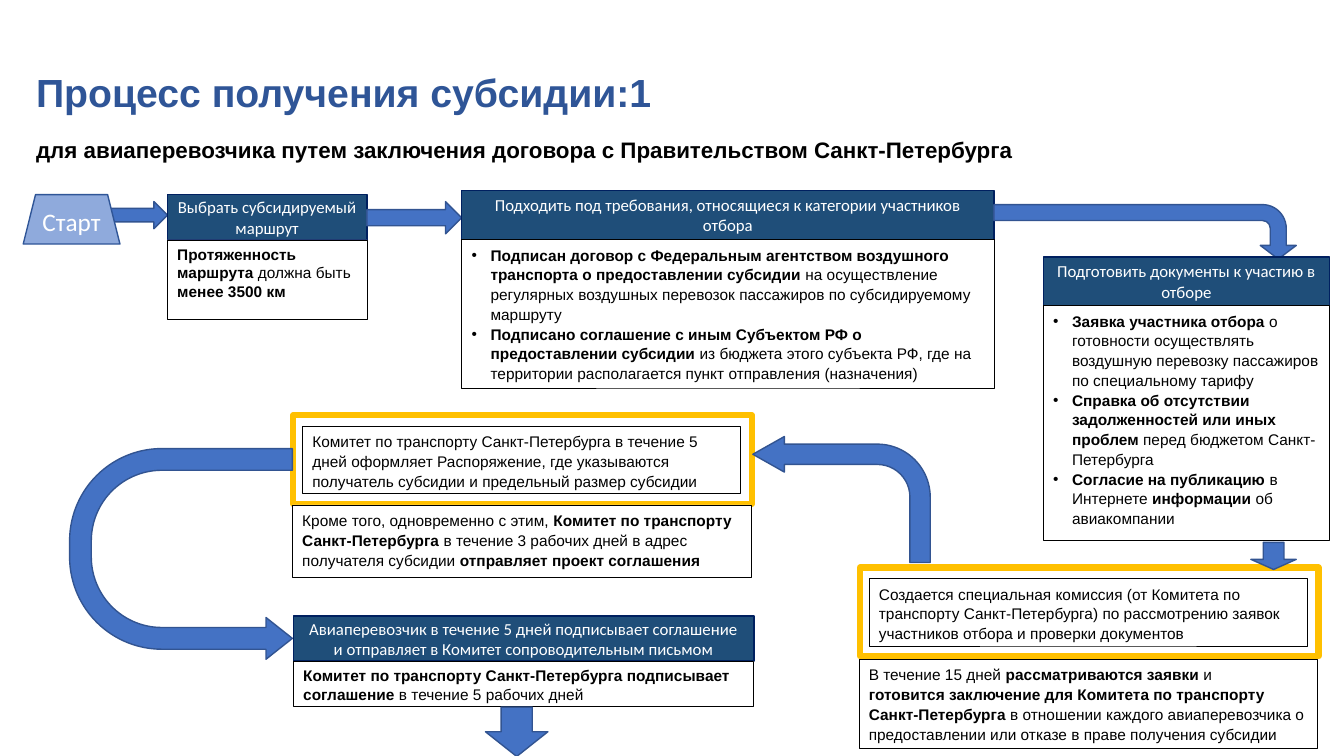
from lxml.etree import SubElement
from pptx import Presentation
from pptx.dml.color import RGBColor
from pptx.enum.shapes import MSO_SHAPE as Shape
from pptx.enum.text import MSO_ANCHOR as Anchor, PP_ALIGN as Align
from pptx.oxml.ns import qn
from pptx.util import Pt

ARROW = {"fill": "4472C4", "line": "325491"}
HEADER = {"fill": "1F4E79", "line": "002060"}
BODY = {"fill": "FFFFFF", "line": "000000", "weight": 0.5}
FRAME = {"line": "FFC000", "weight": 4.5}
LABEL = {"font": "Calibri", "size": 12, "color": "FFFFFF",
         "align": Align.CENTER, "anchor": Anchor.MIDDLE}
DETAIL = {"font": "Arial", "size": 11, "color": "000000"}
SPACED = {"line_spacing": 1.07}
NOTE = {"line_spacing": 1.07, "space_after": Pt(8)}


def color(hex_value):
    return RGBColor.from_string(hex_value)


def add_bullet(para):
    properties = para._p.get_or_add_pPr()
    properties.set("marL", str(Pt(13.5)))
    properties.set("indent", str(-Pt(13.5)))
    SubElement(properties, qn("a:buFont")).set("typeface", "Arial")
    SubElement(properties, qn("a:buChar")).set("char", "•")


def write(box, paragraphs, style, spacing=None, bullets=False):
    frame = box.text_frame
    frame.word_wrap = True
    frame.vertical_anchor = style.get("anchor", Anchor.TOP)
    for number, text in enumerate(paragraphs):
        para = frame.add_paragraph() if number else frame.paragraphs[0]
        para.alignment = style.get("align", Align.LEFT)
        for name, value in (spacing or {}).items():
            setattr(para, name, value)
        if bullets:
            add_bullet(para)
        for index, part in enumerate(text.split("*")):
            for row, words in enumerate(part.split("\n")):
                if row:
                    para.add_line_break()
                if not words:
                    continue
                span = para.add_run()
                span.text = words
                font_format = {"name": style["font"], "size": Pt(style["size"]),
                               "bold": index % 2 == 1}
                for name, value in font_format.items():
                    setattr(span.font, name, value)
                span.font.color.rgb = color(style["color"])


def add_figure(page, kind, box, look, rotation=0, flip=False, adjust=()):
    figure = page.shapes.add_shape(kind, *map(Pt, box))
    figure.shadow.inherit = False
    figure.rotation = rotation
    for index, value in enumerate(adjust):
        figure.adjustments[index] = value
    if flip:
        figure.element.spPr.find(qn("a:xfrm")).set("flipH", "1")
    if "fill" in look:
        figure.fill.solid()
        figure.fill.fore_color.rgb = color(look["fill"])
    else:
        figure.fill.background()
    figure.line.color.rgb = color(look["line"])
    figure.line.width = Pt(look.get("weight", 1))
    return figure


def add_text(page, box, text, style, spacing=None):
    write(page.shapes.add_textbox(*map(Pt, box)), [text], style, spacing)


def add_headings(page, left, top, width):
    add_text(page, (left, top, width, 104.4), "*Процесс получения субсидии:1*",
             {"font": "Arial", "size": 28, "color": "2F5597",
              "anchor": Anchor.MIDDLE}, {"line_spacing": 0.9})
    add_text(page, (left, top + 77.8, width + 18, 26.6),
             "*для авиаперевозчика путем заключения договора "
             "с Правительством Санкт-Петербурга*",
             {"font": "Arial", "size": 16, "color": "000000"})


def add_start(page, left, top):
    add_figure(page, Shape.RIGHT_ARROW, (left + 58.4, top + 5, 44.6, 19.4), ARROW)
    start = add_figure(page, Shape.TRAPEZOID, (left, top, 69.1, 35.3),
                       {"fill": "8FAADC", "line": "2F5597"})
    write(start, ["Старт"], {**LABEL, "size": 18})


def add_step(page, box, header_height, title, details, spacing=None, bullets=False):
    left, top, width, height = box
    header = add_figure(page, Shape.RECTANGLE, (left, top, width, header_height), HEADER)
    write(header, [title], LABEL)
    body = add_figure(page, Shape.RECTANGLE,
                      (left, top + header_height, width, height - header_height), BODY)
    write(body, details, DETAIL, spacing, bullets)


def add_committee(page, left, top, decision, follow_up, follow_top, follow_height):
    add_figure(page, Shape.RECTANGLE, (left, top, 327.6, 63.4), FRAME)
    inner = add_figure(page, Shape.RECTANGLE, (left + 6.5, top + 7.9, 313.2, 48.2), BODY)
    write(inner, [decision], DETAIL, NOTE)
    lower = add_figure(page, Shape.RECTANGLE,
                       (left - 0.7, top + follow_top, 327.6, follow_height), BODY)
    write(lower, [follow_up], DETAIL, NOTE)


def add_process(page):
    add_start(page, 16.6, 139)
    add_step(page, (119.5, 139, 142.6, 89.3), 32.4, "Выбрать субсидируемый маршрут",
             ["*Протяженность маршрута *должна быть *менее 3500 км*"])
    add_figure(page, Shape.RIGHT_ARROW, (262.1, 144, 67.7, 23), ARROW)
    add_step(page, (329.8, 136.1, 380.2, 141.1), 34.9,
             "Подходить под требования, относящиеся к категории участников отбора",
             ["*Подписан договор с Федеральным агентством воздушного транспорта "
              "о предоставлении субсидии *на осуществление регулярных воздушных "
              "перевозок пассажиров по субсидируемому маршруту",
              "*Подписано соглашение с иным Субъектом РФ о предоставлении субсидии *"
              "из бюджета этого субъекта РФ, где на территории располагается пункт "
              "отправления (назначения)"], SPACED, True)
    add_figure(page, Shape.BENT_ARROW, (798.5, 57.6, 38.9, 216), ARROW,
               rotation=90, adjust=(0.293, 0.331, 0.25, 0.438))
    add_step(page, (745.2, 183.6, 204.5, 202.4), 34.6,
             "Подготовить документы к участию в отборе",
             ["*Заявка участника отбора *о готовности осуществлять воздушную "
              "перевозку пассажиров по специальному тарифу",
              "*Справка об отсутствии задолженностей или иных проблем *"
              "перед бюджетом Санкт-Петербурга",
              "*Согласие на публикацию* в Интернете *информации* об авиакомпании"],
             SPACED, True)
    add_committee(page, 614.2, 405.4,
                  "Создается специальная комиссия (от Комитета по транспорту "
                  "Санкт-Петербурга) по рассмотрению заявок участников отбора "
                  "и проверки документов",
                  "В течение 15 дней *рассматриваются заявки *и\n*готовится заключение "
                  "для Комитета по транспорту Санкт-Петербурга *в отношении каждого "
                  "авиаперевозчика о предоставлении или отказе в праве получения субсидии",
                  65.5, 63.4)
    add_figure(page, Shape.RIGHT_ARROW, (900, 380.9, 19.4, 32.4), ARROW,
               rotation=90, adjust=(0.457, 0.372))
    add_committee(page, 209.5, 296.6,
                  "Комитет по транспорту Санкт-Петербурга в течение 5 дней оформляет "
                  "Распоряжение, где указываются получатель субсидии и предельный "
                  "размер субсидии",
                  "Кроме того, одновременно с этим, *Комитет по транспорту "
                  "Санкт-Петербурга *в течение 3 рабочих дней в адрес получателя "
                  "субсидии *отправляет проект соглашения*", 64.1, 51.8)
    add_figure(page, Shape.BENT_ARROW, (537.8, 311.8, 126.7, 90), ARROW,
               flip=True, adjust=(0.161, 0.141, 0.25, 0.42))
    add_figure(page, Shape.U_TURN_ARROW, (54, 316.1, 150.5, 159.1), ARROW,
               rotation=270, flip=True, adjust=(0.103, 0.099, 0.125, 0.438, 1))
    add_step(page, (209.5, 439.9, 329, 64.8), 32.4,
             "Авиаперевозчик в течение 5 дней подписывает соглашение и отправляет "
             "в Комитет сопроводительным письмом",
             ["*Комитет по транспорту Санкт-Петербурга подписывает соглашение *"
              "в течение 5 рабочих дней"])
    add_figure(page, Shape.RIGHT_ARROW, (351.4, 500.4, 35.3, 44.6), ARROW, rotation=90)


def main():
    deck = Presentation()
    deck.slide_width, deck.slide_height = Pt(960), Pt(540)
    page = deck.slides.add_slide(deck.slide_layouts[6])
    add_headings(page, 18.7, 15.8, 776.9)
    add_process(page)
    deck.save("out.pptx")


if __name__ == "__main__":
    main()
